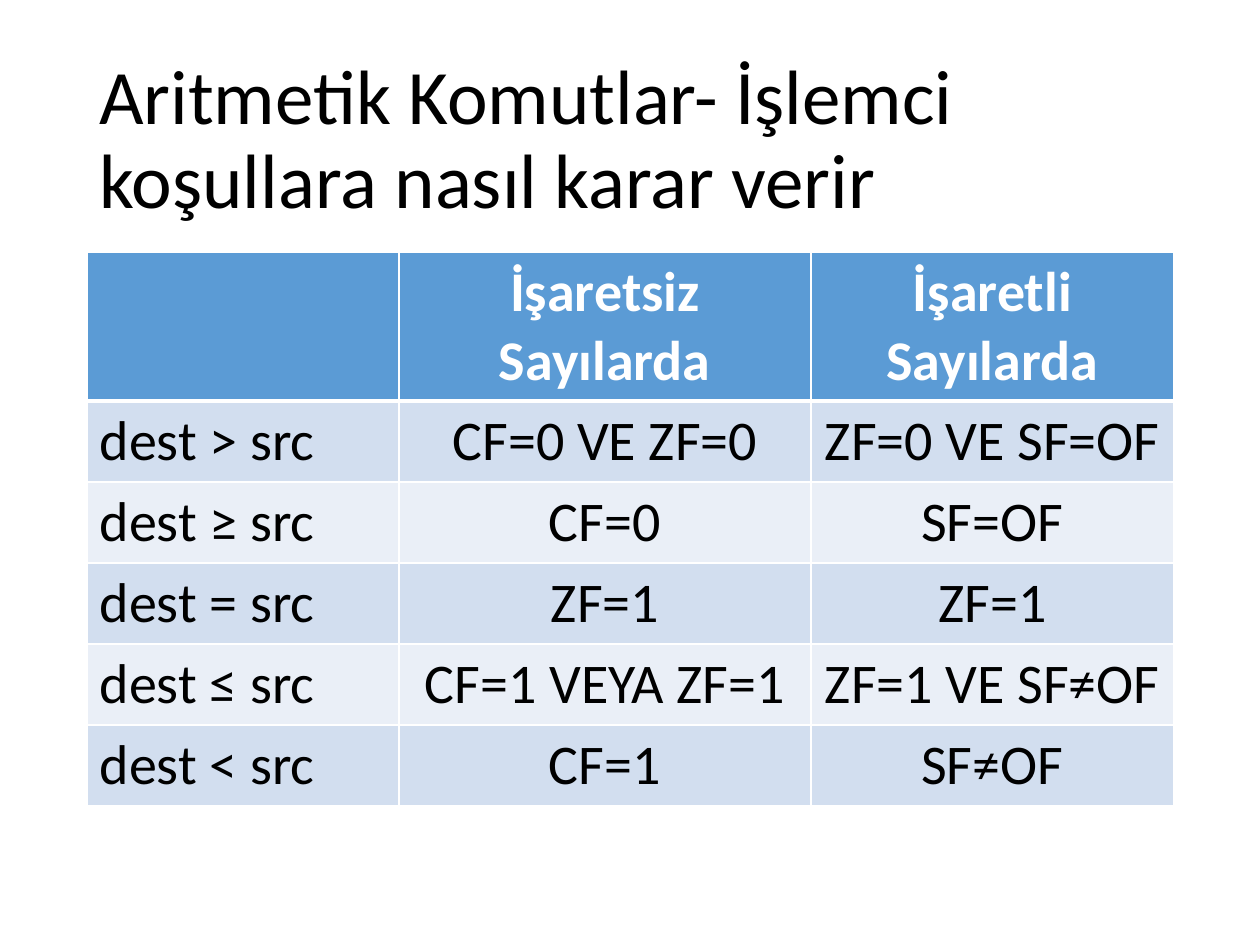
import pptx
import pptx.dml.color
import pptx.enum.text
import pptx.oxml
import pptx.oxml.ns
import pptx.util
from dataclasses import dataclass

PX = 914400 / 126
ALIGN = pptx.enum.text.PP_ALIGN
ANCHOR = pptx.enum.text.MSO_ANCHOR


@dataclass
class Theme:
    font: str = "Calibri"
    title_size: int = 44
    table_size: int = 32
    ink: str = "000000"
    white: str = "FFFFFF"
    header: str = "5B9BD5"
    bands: tuple = ("D2DEEF", "EAEFF7")
    border: int = 1
    header_border: int = 3


def px(length):
    return pptx.util.Emu(round(length * PX))


def rgb(color):
    return pptx.dml.color.RGBColor.from_string(color)


def write_text(frame, text, *, font, size, color, bold=False,
               align=ALIGN.LEFT, line_spacing=None):
    paragraph = frame.paragraphs[0]
    paragraph.alignment = align
    if line_spacing:
        paragraph.line_spacing = line_spacing
    if not text:
        return
    run = paragraph.add_run()
    run.text = text
    run.font.name = font
    run.font.size = pptx.util.Pt(size)
    run.font.bold = bold
    run.font.color.rgb = rgb(color)


class SlideBuilder:
    def __init__(self, slide, theme):
        self.slide = slide
        self.theme = theme

    def title(self, text, left, top, width, height):
        frame = self.slide.shapes.add_textbox(
            px(left), px(top), px(width), px(height)).text_frame
        frame.word_wrap = True
        frame.vertical_anchor = ANCHOR.MIDDLE
        write_text(frame, text, font=self.theme.font, size=self.theme.title_size,
                   color=self.theme.ink, line_spacing=0.9)

    def borders(self, cell, top, bottom):
        properties = cell._tc.get_or_add_tcPr()
        side = self.theme.border
        for edge, points in (("L", side), ("R", side), ("T", top), ("B", bottom)):
            properties.append(pptx.oxml.parse_xml(
                f'<a:ln{edge} {pptx.oxml.ns.nsdecls("a")} w="{pptx.util.Pt(points)}">'
                f'<a:solidFill><a:srgbClr val="{self.theme.white}"/></a:solidFill>'
                f'</a:ln{edge}>'))

    def cell(self, cell, text, row, column):
        theme = self.theme
        is_header = row == 0
        is_label = column == 0 and not is_header
        # Borders come before the fill in the cell properties
        self.borders(cell,
                     top=theme.header_border if row == 1 else theme.border,
                     bottom=theme.header_border if is_header else theme.border)
        cell.fill.solid()
        cell.fill.fore_color.rgb = rgb(
            theme.header if is_header else theme.bands[(row - 1) % 2])
        cell.vertical_anchor = ANCHOR.MIDDLE if is_label else ANCHOR.TOP
        write_text(cell.text_frame, text, font=theme.font, size=theme.table_size,
                   color=theme.white if is_header else theme.ink, bold=is_header,
                   align=ALIGN.LEFT if is_label else ALIGN.CENTER)

    def table(self, rows, left, top, widths, heights):
        table = self.slide.shapes.add_table(
            len(rows), len(widths), px(left), px(top),
            px(sum(widths)), px(sum(heights))).table
        for column, width in zip(table.columns, widths):
            column.width = px(width)
        for r, (texts, height) in enumerate(zip(rows, heights)):
            table.rows[r].height = px(height)
            for c, text in enumerate(texts):
                self.cell(table.cell(r, c), text, r, c)


CONDITIONS = [
    ("", "İşaretsiz Sayılarda", "İşaretli Sayılarda"),
    ("dest > src", "CF=0 VE ZF=0", "ZF=0 VE SF=OF"),
    ("dest ≥ src", "CF=0", "SF=OF"),
    ("dest = src", "ZF=1", "ZF=1"),
    ("dest ≤ src", "CF=1 VEYA ZF=1", "ZF=1 VE SF≠OF"),
    ("dest < src", "CF=1", "SF≠OF"),
]


def main():
    presentation = pptx.Presentation()
    presentation.slide_width = px(1260)
    presentation.slide_height = px(945)
    slide = presentation.slides.add_slide(presentation.slide_layouts[6])
    builder = SlideBuilder(slide, Theme())

    # Heading
    builder.title("Aritmetik Komutlar- İşlemci koşullara nasıl karar verir",
                  87, 50, 1086, 183)

    # Flag conditions for each comparison
    builder.table(CONDITIONS, 87, 252, widths=[312, 412, 363],
                  heights=[149] + [81] * (len(CONDITIONS) - 1))

    presentation.save("out.pptx")


if __name__ == "__main__":
    main()
